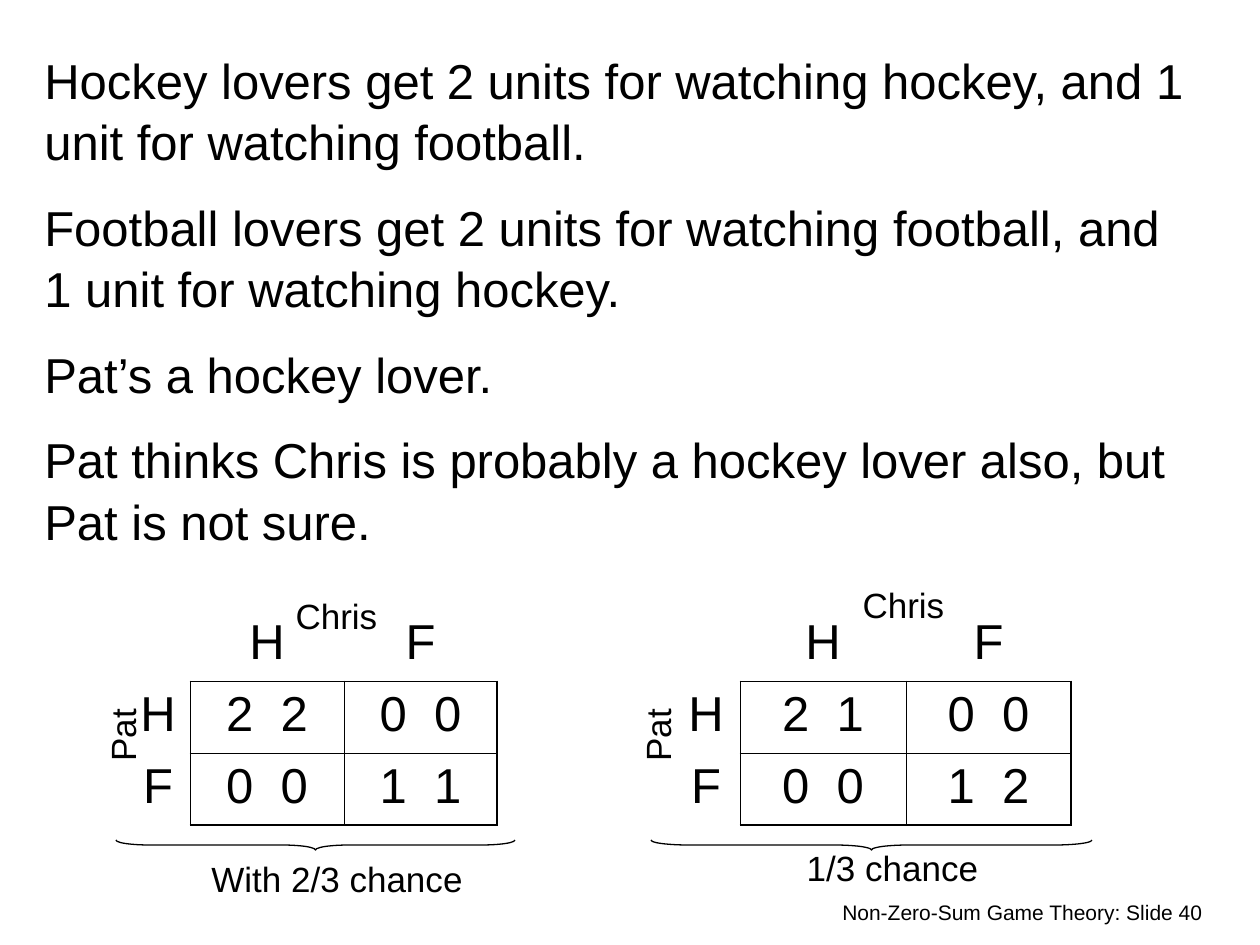
from dataclasses import dataclass

import lxml.etree
import pptx
import pptx.dml.color
import pptx.enum.shapes
import pptx.enum.text
import pptx.oxml.ns
import pptx.util

EMU_PER_PX = 914400 / 126
ALIGN = pptx.enum.text.PP_ALIGN
PLAIN_TABLE_STYLE = "{2D5ABB26-0587-4C30-8999-92F81FD0307C}"


@dataclass(frozen=True)
class Theme:
    font: str = "Arial"
    ink: str = "000000"
    body_size: int = 28
    label_size: int = 20
    footer_size: int = 12
    paragraph_gap: int = 14
    body_line_spacing: float = 1.04
    payoff_gap: int = 780  # extra width between two payoffs, 1/100 pt
    thin_rule: float = 0.45
    thick_rule: float = 1.08
    brace_line: float = 0.75


THEME = Theme()

STATEMENTS = [
    "Hockey lovers get 2 units for watching hockey, and 1 unit for watching football.",
    "Football lovers get 2 units for watching football, and 1 unit for watching hockey.",
    "Pat’s a hockey lover.",
    "Pat thinks Chris is probably a hockey lover also, but Pat is not sure.",
]
CHOICES = ["H", "F"]


def px(length):
    return pptx.util.Emu(round(length * EMU_PER_PX))


def ink():
    return pptx.dml.color.RGBColor.from_string(THEME.ink)


def add_run(paragraph, text, size):
    run = paragraph.add_run()
    run.text = text
    run.font.name = THEME.font
    run.font.size = pptx.util.Pt(size)
    run.font.color.rgb = ink()
    return run


def add_text(slide, box, paragraphs, size, align=ALIGN.LEFT, rotation=0, line_spacing=None):
    textbox = slide.shapes.add_textbox(*map(px, box))
    textbox.rotation = rotation
    frame = textbox.text_frame
    frame.word_wrap = True
    for index, text in enumerate(paragraphs):
        paragraph = frame.add_paragraph() if index else frame.paragraphs[0]
        paragraph.alignment = align
        paragraph.line_spacing = line_spacing
        if index:
            paragraph.space_before = pptx.util.Pt(THEME.paragraph_gap)
        add_run(paragraph, text, size)


def add_border(cell, side, width):
    line = lxml.etree.SubElement(
        cell._tc.get_or_add_tcPr(),
        pptx.oxml.ns.qn(f"a:ln{side}"),
        w=str(pptx.util.Pt(width)),
    )
    fill = lxml.etree.SubElement(line, pptx.oxml.ns.qn("a:solidFill"))
    lxml.etree.SubElement(fill, pptx.oxml.ns.qn("a:srgbClr"), val=THEME.ink)


def fill_cell(cell, values):
    """Write a choice, or a pair of payoffs set apart by a widened space."""
    paragraph = cell.text_frame.paragraphs[0]
    paragraph.alignment = ALIGN.CENTER
    for index, value in enumerate(values):
        if index:
            gap = add_run(paragraph, " ", THEME.body_size)
            gap.font._element.set("spc", str(THEME.payoff_gap))
        add_run(paragraph, value, THEME.body_size)


def add_payoff_table(slide, left, top, widths, row_height, payoffs):
    rows = [["", *CHOICES]] + [[choice, *pairs] for choice, pairs in zip(CHOICES, payoffs)]
    frame = slide.shapes.add_table(
        len(rows), len(widths), px(left), px(top), px(sum(widths)), px(row_height * len(rows))
    )
    table = frame.table
    table.first_row = table.horz_banding = False
    table._tbl.tblPr.find(pptx.oxml.ns.qn("a:tableStyleId")).text = PLAIN_TABLE_STYLE
    for column, width in zip(table.columns, widths):
        column.width = px(width)
    for r, row in enumerate(rows):
        table.rows[r].height = px(row_height)
        for c, values in enumerate(row):
            cell = table.cell(r, c)
            fill_cell(cell, values)
            if r and c:
                right = THEME.thick_rule if c == len(widths) - 1 else THEME.thin_rule
                bottom = THEME.thick_rule if r == len(rows) - 1 else THEME.thin_rule
                for side, width in zip("LRTB", (THEME.thin_rule, right, THEME.thin_rule, bottom)):
                    add_border(cell, side, width)
            cell.fill.background()


def add_brace_below(slide, left, top, width, depth):
    """Turn a left brace on its side so that its tip points down."""
    brace = slide.shapes.add_shape(
        pptx.enum.shapes.MSO_SHAPE.LEFT_BRACE,
        px(left + (width - depth) / 2), px(top + (depth - width) / 2), px(depth), px(width),
    )
    brace.rotation = 270
    brace.adjustments[0] = round(width / depth / 12, 2)
    brace.shadow.inherit = False
    brace.fill.background()
    brace.line.color.rgb = ink()
    brace.line.width = pptx.util.Pt(THEME.brace_line)


def add_game(slide, left, widths, payoffs, chris, pat, brace, chance, chance_box, chance_align):
    add_payoff_table(slide, left, 609, widths, 72, payoffs)
    add_text(slide, (*chris, 189, 55), ["Chris"], THEME.label_size, ALIGN.CENTER)
    add_text(slide, (*pat, 189, 55), ["Pat"], THEME.label_size, ALIGN.CENTER, rotation=270)
    add_brace_below(slide, *brace)
    add_text(slide, chance_box, [chance], THEME.label_size, chance_align)


def main():
    deck = pptx.Presentation()
    deck.slide_width, deck.slide_height = px(1260), px(945)
    slide = deck.slides.add_slide(deck.slide_layouts[6])

    add_text(slide, (721, 893, 494, 38), ["Non-Zero-Sum Game Theory: Slide 40"],
             THEME.footer_size, ALIGN.RIGHT)
    add_text(slide, (32, 42, 1166, 525), STATEMENTS, THEME.body_size,
             line_spacing=THEME.body_line_spacing)
    add_game(
        slide, left=126, widths=[64, 154, 153], payoffs=[["22", "00"], ["00", "11"]],
        chris=(242, 588), pat=(28, 708), brace=(116, 840, 399, 10),
        chance="With 2/3 chance", chance_box=(199, 851, 368, 55), chance_align=ALIGN.LEFT,
    )
    add_game(
        slide, left=672, widths=[68, 166, 165], payoffs=[["21", "00"], ["00", "12"]],
        chris=(809, 577), pat=(563, 708), brace=(651, 840, 441, 10),
        chance="1/3 chance", chance_box=(714, 840, 357, 55), chance_align=ALIGN.CENTER,
    )
    deck.save("out.pptx")


if __name__ == "__main__":
    main()
